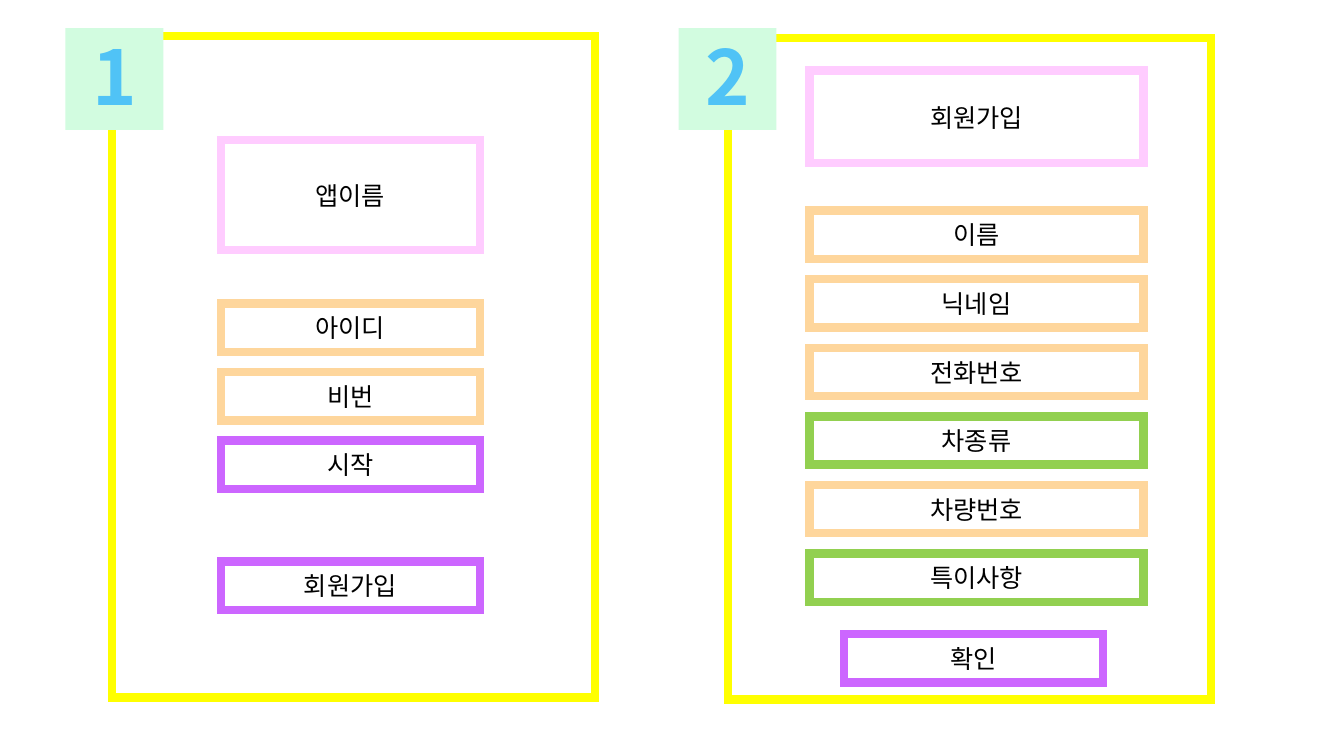
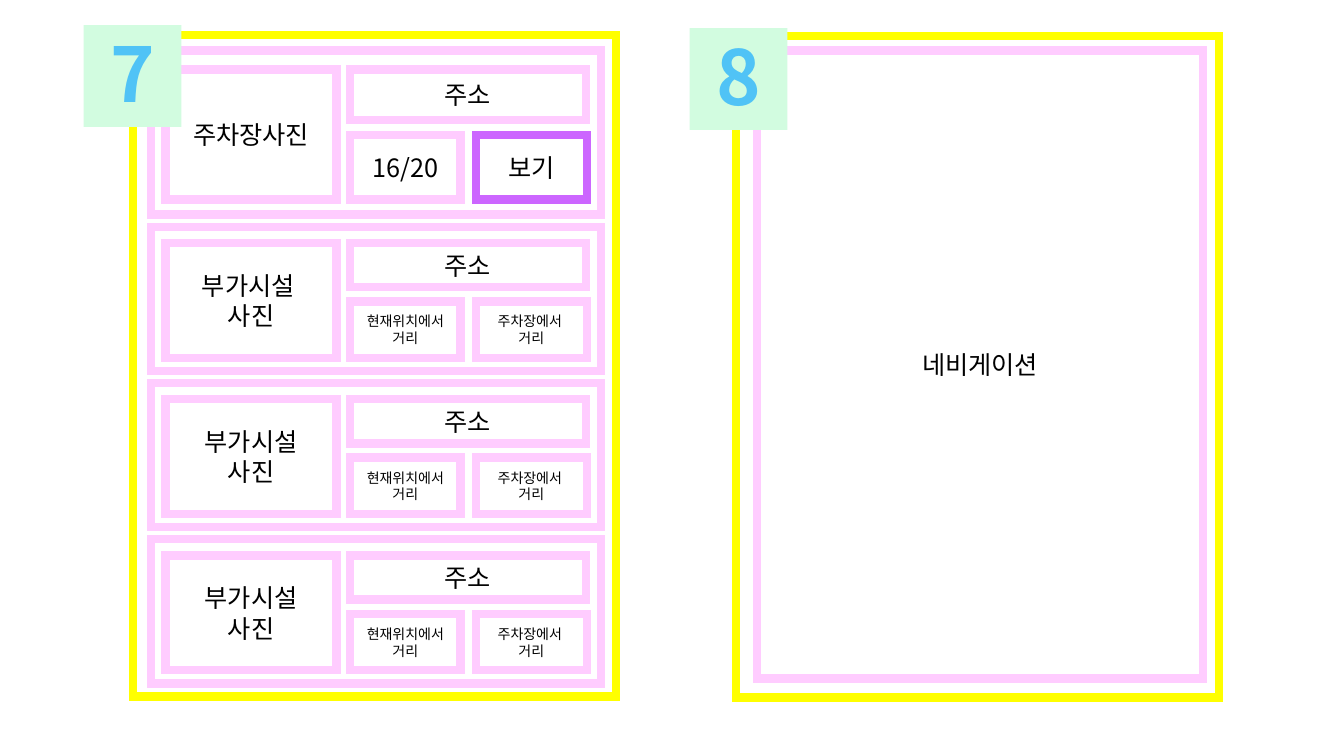
import lxml.etree
import pptx
import pptx.dml.color
import pptx.enum.shapes
import pptx.enum.text
import pptx.oxml.ns
import pptx.util

SCALE = 9144
FONT = "Noto Sans CJK KR"
HUES = {
    "frame": "FFFF00",
    "panel": "FFCCFF",
    "field": "FED69C",
    "choice": "92D050",
    "button": "CC66FF",
    "badge": "D2FCE0",
    "digit": "50C3F6",
    "text": "000000",
}
WIDE, HIGH = 479, 656
ROW, PITCH = 48, 68


def px(count):
    return pptx.util.Emu(count * SCALE)


def hue(name):
    return pptx.dml.color.RGBColor.from_string(HUES[name])


def rect(shapes, box):
    kind = pptx.enum.shapes.MSO_SHAPE.RECTANGLE
    shape = shapes.add_shape(kind, *[px(part) for part in box])
    shape.shadow.inherit = False
    return shape


def write(shape, text, size, tint="text", bold=False):
    frame = shape.text_frame
    frame.word_wrap = True
    frame.vertical_anchor = pptx.enum.text.MSO_ANCHOR.MIDDLE
    runs = []
    for index, line in enumerate(text.split("\n")):
        para = frame.add_paragraph() if index else frame.paragraphs[0]
        para.alignment = pptx.enum.text.PP_ALIGN.CENTER
        run = para.add_run()
        run.text = line
        run.font.size = pptx.util.Pt(size)
        run.font.bold = bold
        run.font.name = FONT
        run.font.color.rgb = hue(tint)
        props = run.font._element
        east = lxml.etree.SubElement(props, pptx.oxml.ns.qn("a:ea"))
        east.set("typeface", FONT)
        runs.append(run)
    return runs


def block(shapes, home, box, tint, text="", size=18):
    left, top = home
    shape = rect(shapes, (left + box[0], top + box[1], box[2], box[3]))
    shape.fill.background()
    shape.line.color.rgb = hue(tint)
    shape.line.width = pptx.util.Pt(6)
    edge = shape.element.spPr.find(pptx.oxml.ns.qn("a:ln"))
    miter = lxml.etree.SubElement(edge, pptx.oxml.ns.qn("a:miter"))
    miter.set("lim", "800000")
    if text:
        write(shape, text, size)


def badge(shapes, home, shift, digit):
    shape = rect(shapes, (home[0] + shift[0], home[1] + shift[1], 97, 101))
    shape.fill.solid()
    shape.fill.fore_color.rgb = hue("badge")
    shape.line.fill.background()
    frame = shape.text_frame
    frame.margin_top = 0
    frame.margin_bottom = px(8)
    for run in write(shape, digit, 54, "digit", True):
        run.font._element.set("spc", "50")


def phone(shapes, home, digit, shift, fill):
    block(shapes, home, (0, 0, WIDE, HIGH), "frame")
    fill(shapes, home)
    badge(shapes, home, shift, digit)


def rows(shapes, home, left, top, wide, items):
    for index, (text, tint) in enumerate(items):
        box = (left, top + index * PITCH, wide, ROW)
        block(shapes, home, box, tint, text)


def login(shapes, home):
    block(shapes, home, (108, 103, 257, 109), "panel", "앱이름")
    rows(shapes, home, 108, 265, 257,
         [("아이디", "field"), ("비번", "field"), ("시작", "button")])
    rows(shapes, home, 108, 521, 257, [("회원가입", "button")])


def signup(shapes, home):
    block(shapes, home, (81, 32, 331, 92), "panel", "회원가입")
    rows(shapes, home, 81, 171, 331, [
        ("이름", "field"),
        ("닉네임", "field"),
        ("전화번호", "field"),
        ("차종류", "choice"),
        ("차량번호", "field"),
        ("특이사항", "choice"),
    ])
    rows(shapes, home, 115, 591, 257, [("확인", "button")])


def card(shapes, home, sizes, photo, notes, small, last="panel"):
    high, pad, inner, head, foot = sizes
    low = pad + inner - foot
    parts = shapes.add_group_shape().shapes
    block(parts, home, (0, 0, 446, high), "panel")
    block(parts, home, (14, pad, 170, inner), "panel", photo)
    block(parts, home, (197, pad, 234, head), "panel", "주소")
    block(parts, home, (197, low, 110, foot), "panel", notes[0], small)
    block(parts, home, (322, low, 110, foot), last, notes[1], small)


def places(shapes, home):
    left, top = home[0] + 18, home[1]
    card(shapes, (left, top + 15), (163, 19, 129, 50, 64),
         "주차장사진", ("16/20", "보기"), 18, "button")
    notes = ("현재위치에서 거리", "주차장에서 \n거리")
    for index, photo in enumerate(("부가시설 ", "부가시설", "부가시설")):
        card(shapes, (left, top + 190 + index * 155), (143, 16, 114, 44, 56),
             photo + "\n사진", notes, 10)


def route(shapes, home):
    block(shapes, home, (21, 14, 442, 623), "panel", "네비게이션")


def main():
    deck = pptx.Presentation()
    deck.slide_width = px(1333)
    deck.slide_height = px(750)
    near, far = (-46, -8), (-49, -10)
    pages = [
        [((111, 36), "1", near, login), ((722, 38), "2", far, signup)],
        [((132, 35), "7", far, places), ((730, 36), "8", near, route)],
    ]
    for page in pages:
        slide = deck.slides.add_slide(deck.slide_layouts[6])
        for home, digit, shift, fill in page:
            phone(slide.shapes, home, digit, shift, fill)
    deck.save("out.pptx")


if __name__ == "__main__":
    main()
